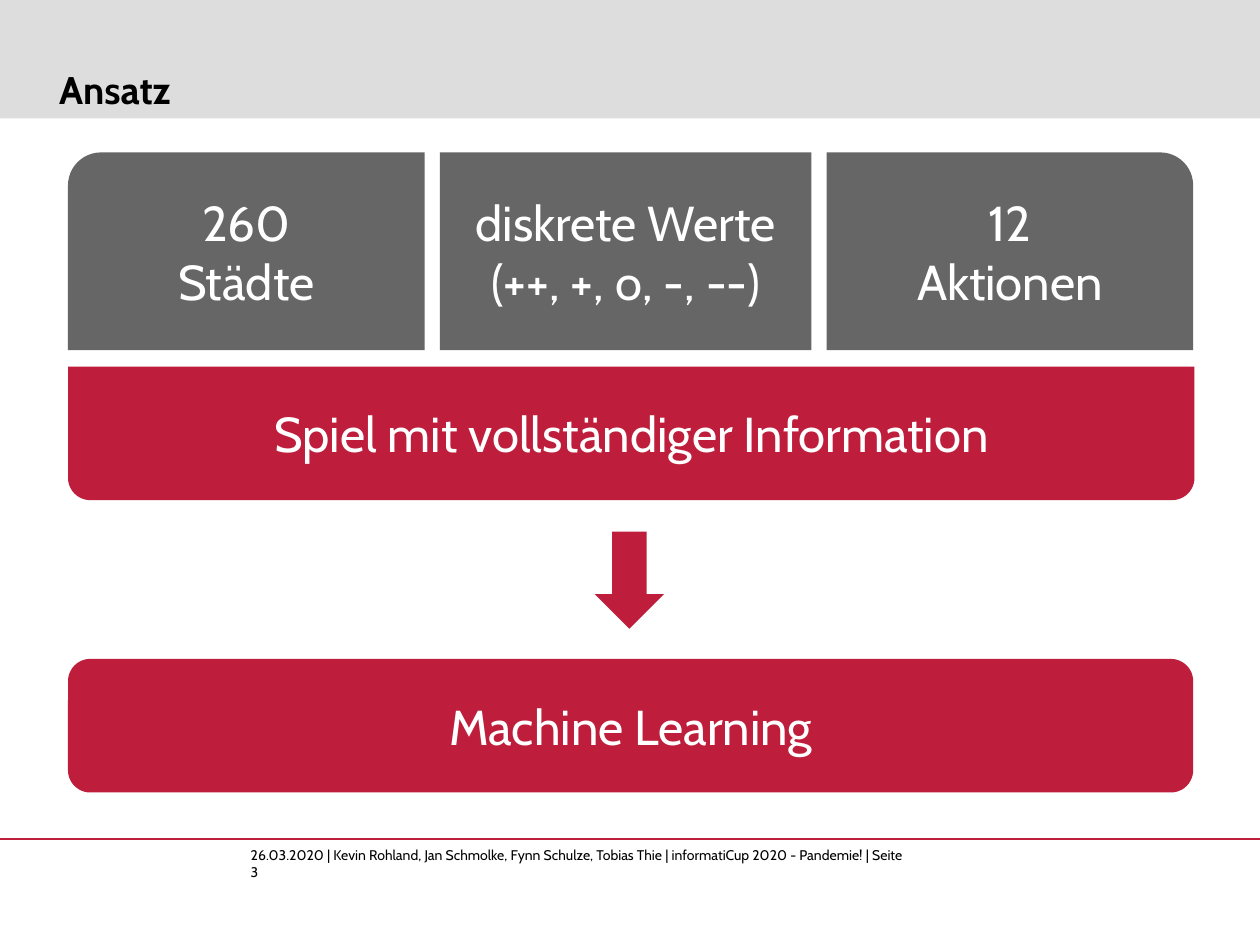
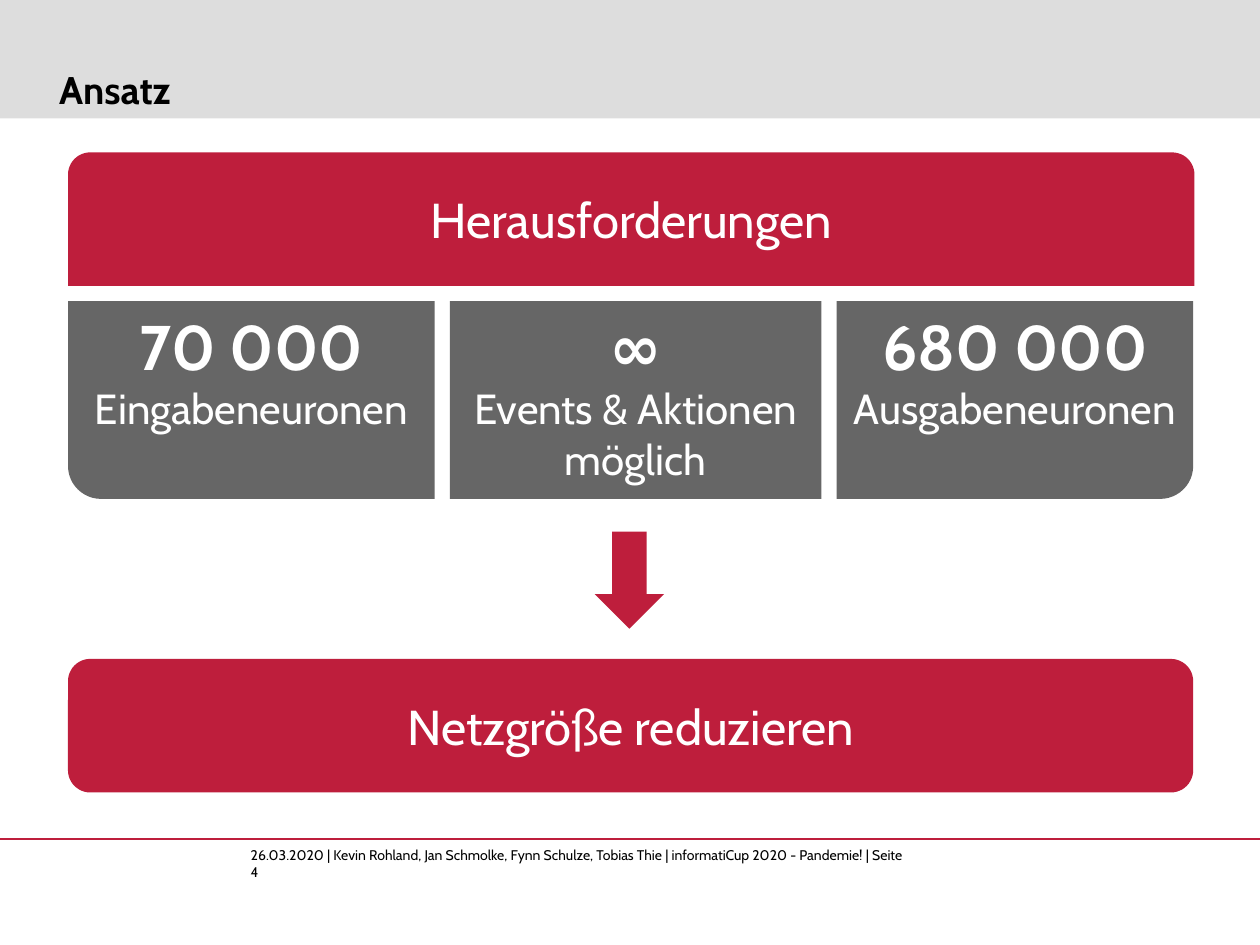
from pptx import Presentation
from pptx.dml.color import RGBColor
from pptx.enum.shapes import MSO_CONNECTOR, MSO_SHAPE
from pptx.enum.text import MSO_ANCHOR, PP_ALIGN
from pptx.oxml.ns import qn
from pptx.util import Inches, Pt
from lxml import etree

RECT = MSO_SHAPE.RECTANGLE
ROUND = MSO_SHAPE.ROUNDED_RECTANGLE
ROUND_ONE = MSO_SHAPE.ROUND_1_RECTANGLE
ROUND_TOP = MSO_SHAPE.ROUND_2_SAME_RECTANGLE
ARROW = MSO_SHAPE.DOWN_ARROW
TOP, MIDDLE, BOTTOM = MSO_ANCHOR.TOP, MSO_ANCHOR.MIDDLE, MSO_ANCHOR.BOTTOM
LEFT, CENTER = PP_ALIGN.LEFT, PP_ALIGN.CENTER

FONT = "Cabin"
RED, GREY, LIGHT, WHITE, BLACK = "BE1E3C", "666666", "DDDDDD", "FFFFFF", "000000"
FOOTER = ("26.03.2020 | Kevin Rohland, Jan Schmolke, Fynn Schulze, Tobias Thie"
          " | informatiCup 2020 - Pandemie! | Seite ")
X, W = 0.54, 8.94
BAND_H, CARD_H = 1.06, 1.57


def add_block(slide, kind, box, fill, flip=""):
    sp = slide.shapes.add_shape(kind, *[Inches(v) for v in box])
    sp.shadow.inherit = False
    sp.fill.solid()
    sp.fill.fore_color.rgb = RGBColor.from_string(fill)
    sp.line.fill.background()
    for axis in flip:
        sp._element.spPr.find(qn("a:xfrm")).set("flip" + axis, "1")
    return sp


def add_text(slide, box, lines, color=WHITE, align=CENTER, anchor=MIDDLE, inset=True):
    tf = slide.shapes.add_textbox(*[Inches(v) for v in box]).text_frame
    tf.word_wrap = True
    tf.vertical_anchor = anchor
    if not inset:
        tf.margin_left = tf.margin_right = tf.margin_top = tf.margin_bottom = 0
    tf.text = "\n".join(text for text, size, bold in lines)
    for p, (text, size, bold) in zip(tf.paragraphs, lines):
        p.alignment = align
        for r in p.runs:
            r.font.name = FONT
            r.font.size = Pt(size)
            r.font.bold = bold
            r.font.color.rgb = RGBColor.from_string(color)


prs = Presentation()
prs.slide_width, prs.slide_height = Inches(10), Inches(7.5)

pages = [
    {
        "number": 3,
        "band": ("Spiel mit vollständiger Information", 2.91, "V"),
        "card_top": 1.21,
        "anchor": MIDDLE,
        "sizes": [(28, False), (28, False)],
        "cards": [
            (ROUND_ONE, 0.54, 2.83, "H", ["260", "Städte"]),
            (RECT, 3.49, 2.95, "", ["diskrete Werte", "(++, +, o, -, --)"]),
            (ROUND_ONE, 6.56, 2.91, "", ["12", "Aktionen"]),
        ],
        "result": "Machine Learning",
    },
    {
        "number": 4,
        "band": ("Herausforderungen", 1.21, ""),
        "card_top": 2.39,
        "anchor": TOP,
        "sizes": [(36, True), (24, False)],
        "cards": [
            (ROUND_ONE, 0.54, 2.91, "HV", ["70 000", "Eingabeneuronen"]),
            (RECT, 3.57, 2.95, "", ["∞", "Events & Aktionen möglich"]),
            (ROUND_ONE, 6.64, 2.83, "V", ["680 000", "Ausgabeneuronen"]),
        ],
        "result": "Netzgröße reduzieren",
    },
]

for page in pages:
    s = prs.slides.add_slide(prs.slide_layouts[6])

    add_text(s, (1.99, 6.72, 5.24, 0.27), [(FOOTER + str(page["number"]), 8, False)],
             BLACK, LEFT, TOP, inset=False)
    rule = s.shapes.add_connector(MSO_CONNECTOR.STRAIGHT, 0, Inches(6.66), Inches(10), Inches(6.66))
    rule.line.color.rgb = RGBColor.from_string(RED)
    rule.line.width = Pt(0.75)
    etree.SubElement(rule._element.spPr, qn("a:effectLst"))
    add_block(s, RECT, (0, 0, 10, 0.94), LIGHT)
    add_text(s, (0.47, 0.12, 9.16, 0.77), [("Ansatz", 22, True)],
             BLACK, LEFT, BOTTOM, inset=False)

    label, top, flip = page["band"]
    band = (X, top, W, BAND_H)
    add_block(s, ROUND_TOP, band, RED, flip)
    add_text(s, band, [(label, 28, False)])

    for kind, left, width, flip, texts in page["cards"]:
        card = (left, page["card_top"], width, CARD_H)
        add_block(s, kind, card, GREY, flip)
        lines = [(text, *style) for text, style in zip(texts, page["sizes"])]
        add_text(s, card, lines, anchor=page["anchor"])

    result = (X, 5.23, W - 0.01, BAND_H)
    add_block(s, ROUND, result, RED)
    add_text(s, result, [(page["result"], 28, False)])
    add_block(s, ARROW, (4.72, 4.22, 0.55, 0.77), RED)

prs.save("out.pptx")
